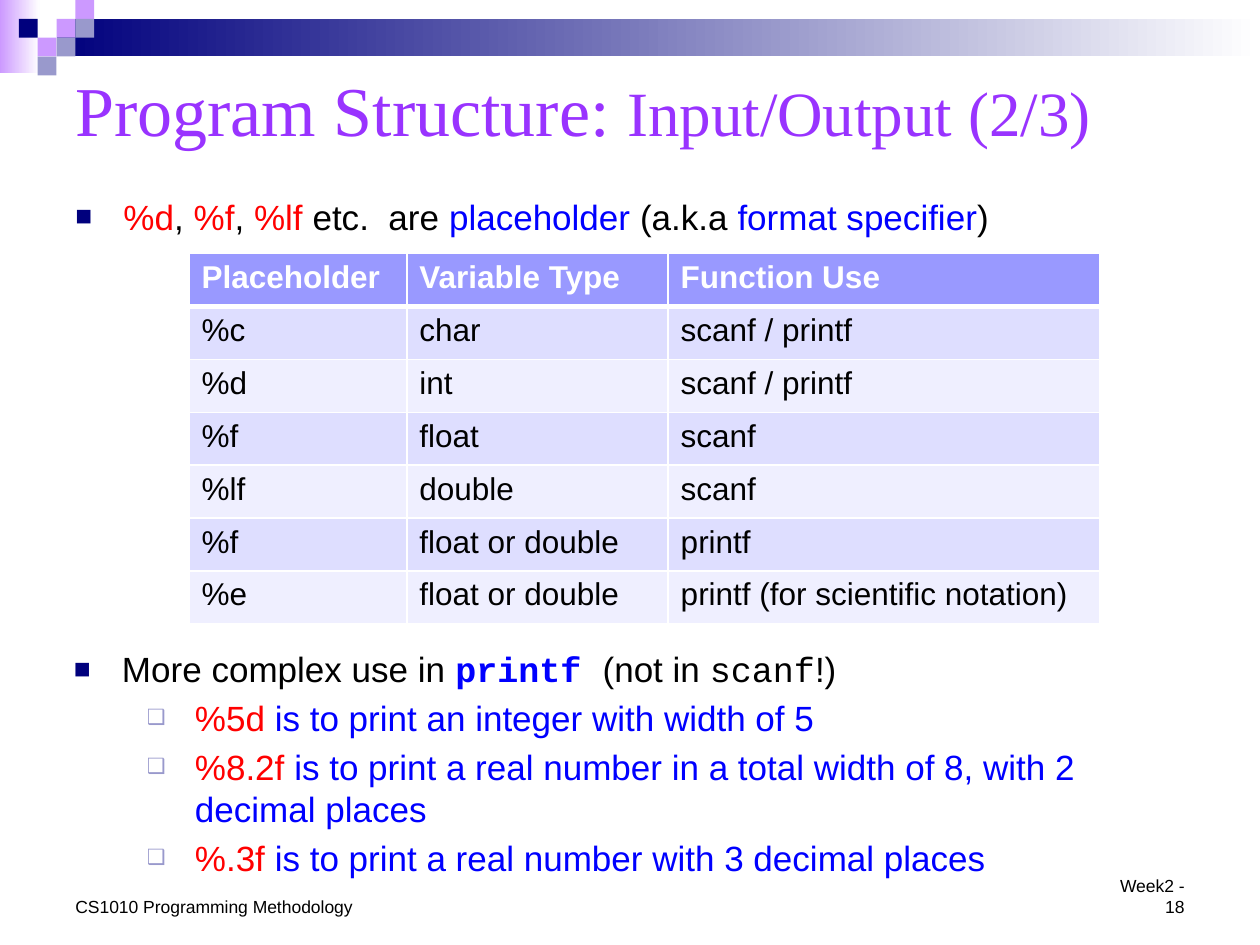
import pptx
import pptx.dml.color
import pptx.enum.shapes
import pptx.enum.text
import pptx.oxml
import pptx.oxml.ns
import pptx.util
from lxml import etree

Cm = pptx.util.Cm
Pt = pptx.util.Pt
ALIGN = pptx.enum.text.PP_ALIGN
ANCHOR = pptx.enum.text.MSO_ANCHOR

HUES = {
    "black": "000000", "white": "FFFFFF", "red": "FF0000", "blue": "0000FF",
    "navy": "00007D", "lilac": "CC99FF", "slate": "9999CC", "title": "9933FF",
    "head": "9999FF", "odd": "DEDEFF", "even": "EFEFFF",
}
ROWS = [
    ("Placeholder", "Variable Type", "Function Use"),
    ("%c", "char", "scanf / printf"),
    ("%d", "int", "scanf / printf"),
    ("%f", "float", "scanf"),
    ("%lf", "double", "scanf"),
    ("%f", "float or double", "printf"),
    ("%e", "float or double", "printf (for scientific notation)"),
]
INTRO = [
    (0, [("%d", "red"), (", ", "black"), ("%f", "red"), (", ", "black"),
         ("%lf ", "red"), ("etc.  are ", "black"), ("placeholder", "blue"),
         (" (a.k.a ", "black"), ("format specifier", "blue"), (")", "black")]),
]
USES = [
    (0, [("More complex use in ", "black"),
         ("printf ", "blue", 20, "Courier New", True), ("(not in ", "black"),
         ("scanf", "black", 20, "Courier New"), ("!)", "black")]),
    (1, [("%5d ", "red"), ("is to print an integer with width of 5", "blue")]),
    (1, [("%8.2f", "red"),
         (" is to print a real number in a total width of 8, with 2 decimal places", "blue")]),
    (1, [("%.3f", "red"), (" is to print a real number with 3 decimal places", "blue")]),
]
MARKS = [("■", "navy", 80, 0.97), ("❑", "slate", 60, 2.44)]


def tint(name):
    """Return the named colour."""
    return pptx.dml.color.RGBColor.from_string(HUES[name])


def add_run(para, text, hue="black", size=20, face="Arial", bold=False):
    """Add one formatted run to a paragraph."""
    run = para.add_run()
    run.text = text
    font = run.font
    font.size, font.name, font.bold = Pt(size), face, bold
    font.color.rgb = tint(hue)


def add_node(up, tag, **attrs):
    """Add a drawing element below another one."""
    node = etree.SubElement(up, pptx.oxml.ns.qn(tag))
    for key, val in attrs.items():
        node.set(key, str(val))
    return node


def add_block(slide, box, hue, fade=False):
    """Draw a rectangle, plain or fading to white."""
    kind = pptx.enum.shapes.MSO_SHAPE.RECTANGLE
    shape = slide.shapes.add_shape(kind, *map(Cm, box))
    shape.shadow.inherit = False
    shape.line.fill.background()
    if fade:
        shape.fill.gradient()
        shape.fill.gradient_angle = 0
        for stop, name in zip(shape.fill.gradient_stops, (hue, "white")):
            stop.color.rgb = tint(name)
    else:
        shape.fill.solid()
        shape.fill.fore_color.rgb = tint(hue)


def add_band(slide, box):
    """Draw the top band with its stepped squares."""
    x, y, w, h = box
    unit = h / 4
    add_block(slide, (x, y, 0.8, 1.48), "lilac", True)
    add_block(slide, (x + 3 * unit, y + unit, w - 3 * unit, 2 * unit), "navy", True)
    spots = [(3, 1, "lilac"), (4, 0, "lilac"), (4, 1, "slate"), (2, 2, "lilac"),
             (1, 1, "navy"), (3, 2, "slate"), (2, 3, "slate")]
    for col, row, hue in spots:
        add_block(slide, (x + col * unit, y + row * unit, unit, unit), hue)


def add_title(slide, box):
    """Place and fill the title."""
    title = slide.shapes.title
    title.left, title.top, title.width, title.height = map(Cm, box)
    frame = title.text_frame
    frame.auto_size = pptx.enum.text.MSO_AUTO_SIZE.NONE
    frame.vertical_anchor = ANCHOR.MIDDLE
    para = frame.paragraphs[0]
    para.alignment = ALIGN.LEFT
    add_run(para, "Program Structure: ", "title", 40, "Times New Roman")
    add_run(para, "Input/Output (2/3)", "title", 36, "Times New Roman")


def add_text(slide, box):
    """Add an empty wrapping text box and return its frame."""
    frame = slide.shapes.add_textbox(*map(Cm, box)).text_frame
    frame.word_wrap = True
    return frame


def add_list(slide, box, items):
    """Write a bullet list of two levels."""
    frame = add_text(slide, box)
    for num, (level, runs) in enumerate(items):
        para = frame.add_paragraph() if num else frame.paragraphs[0]
        para.level = level
        para.space_before = Pt(4)
        mark, hue, size, left = MARKS[level]
        props = para._p.get_or_add_pPr()
        props.set("marL", str(Cm(left)))
        props.set("indent", str(-Cm(0.97)))
        add_node(add_node(props, "a:buClr"), "a:srgbClr", val=HUES[hue])
        add_node(props, "a:buSzPct", val=size * 1000)
        add_node(props, "a:buFont", typeface="Arial")
        add_node(props, "a:buChar", char=mark)
        for run in runs:
            add_run(para, *run)


def add_edges(cell, base):
    """Draw white cell borders, with the bottom one as wide as given."""
    props = cell._tc.get_or_add_tcPr()
    for side, width in (("L", 1), ("R", 1), ("T", 1), ("B", base)):
        line = add_node(props, "a:ln" + side, w=Pt(width))
        add_node(add_node(line, "a:solidFill"), "a:srgbClr", val=HUES["white"])


def add_grid(slide, box):
    """Build the table of format specifiers."""
    table = slide.shapes.add_table(len(ROWS), 3, *map(Cm, box)).table
    for col, width in zip(table.columns, (4.39, 5.27, 8.7)):
        col.width = Cm(width)
    for r, row in enumerate(ROWS):
        table.rows[r].height = Cm(box[3] / len(ROWS))
        fill = ("even", "odd")[r % 2] if r else "head"
        for c, text in enumerate(row):
            cell = table.cell(r, c)
            add_edges(cell, 1 if r else 3)
            cell.fill.solid()
            cell.fill.fore_color.rgb = tint(fill)
            hue = "black" if r else "white"
            add_run(cell.text_frame.paragraphs[0], text, hue, 18, bold=not r)


def add_foot(slide, box):
    """Write the course name and the page label."""
    x, y, w, h = box
    wide, slim = 6.15, 2.13
    parts = [("CS1010 Programming Methodology", x, wide, ALIGN.LEFT),
             ("Week2 - 18", x + w - slim, slim, ALIGN.RIGHT)]
    for text, left, width, side in parts:
        frame = add_text(slide, (left, y, width, h))
        frame.vertical_anchor = ANCHOR.BOTTOM
        para = frame.paragraphs[0]
        para.alignment = side
        add_run(para, text, size=10)


def main():
    """Build and save the slide."""
    deck = pptx.Presentation()
    deck.slide_width, deck.slide_height = Cm(25.4), Cm(19.05)
    slide = deck.slides.add_slide(deck.slide_layouts[5])
    add_band(slide, (0, 0, 25.4, 1.52))
    add_title(slide, (1.27, 1.07, 22.86, 2.24))
    add_list(slide, (1.27, 3.81, 22.86, 1.12), INTRO)
    add_grid(slide, (3.81, 5.11, 18.36, 7.47))
    add_list(slide, (1.24, 12.93, 22.86, 5.05), USES)
    add_foot(slide, (1.27, 17.93, 22.86, 0.69))
    deck.save("out.pptx")


if __name__ == "__main__":
    main()
